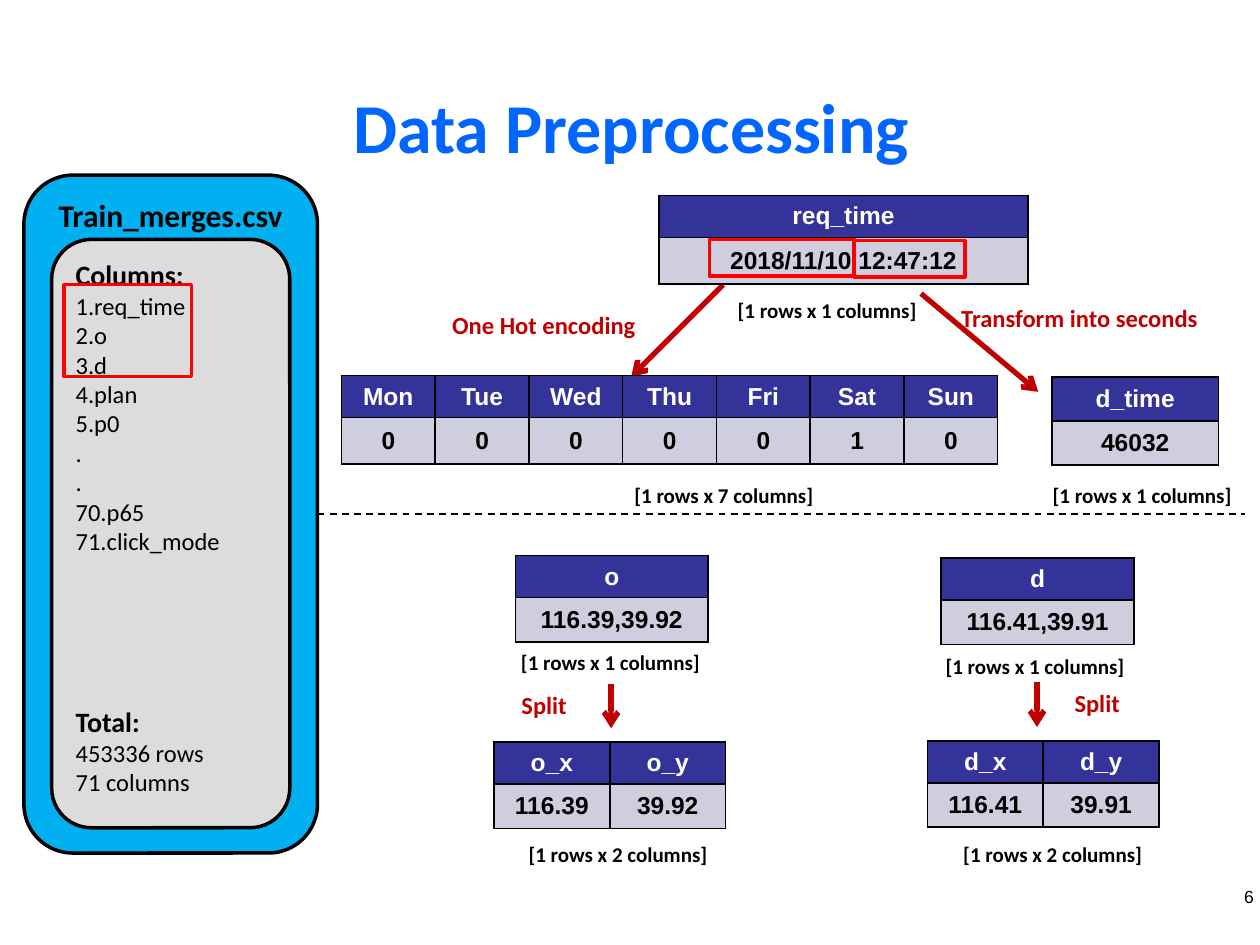
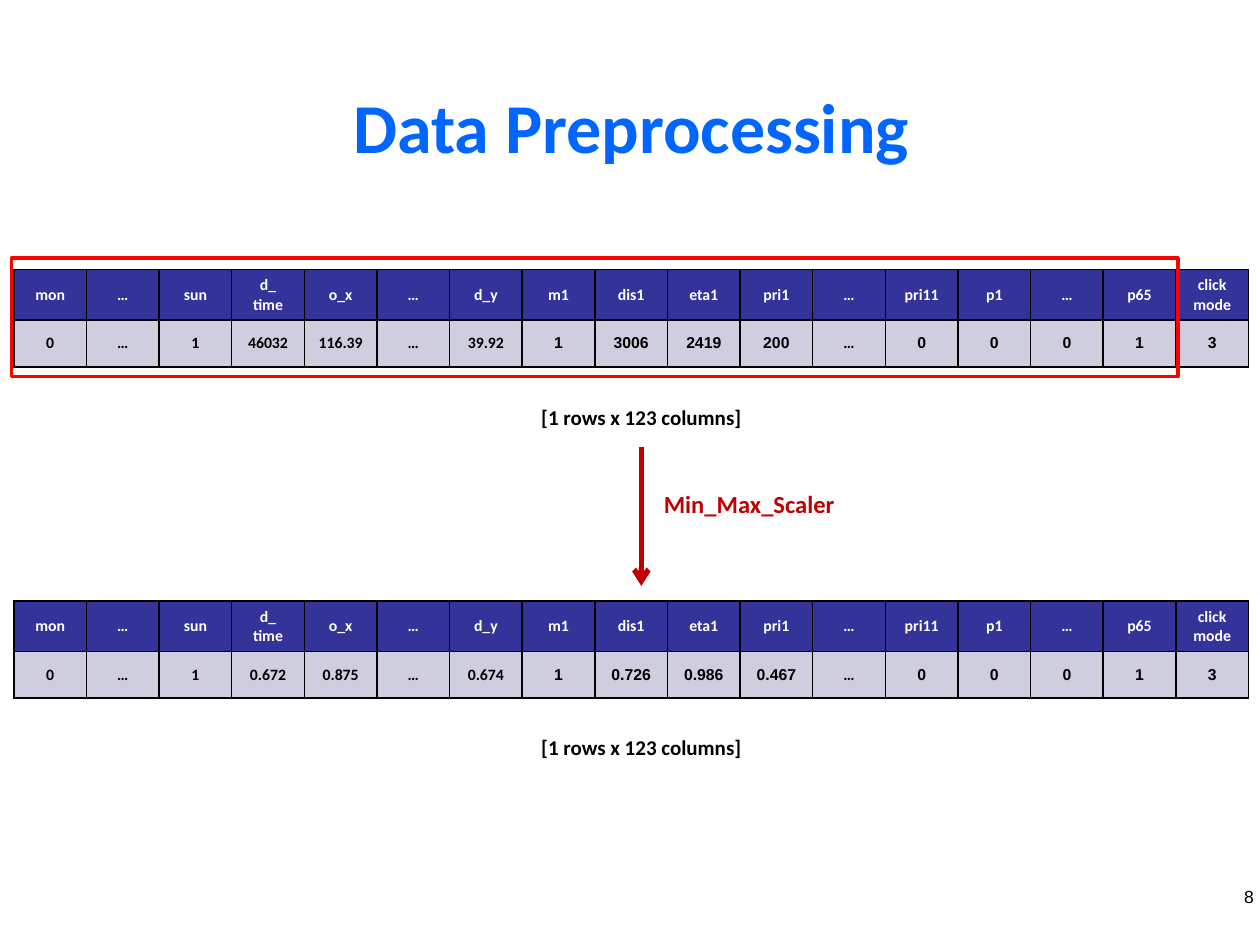
"""Build two data preprocessing slides: splitting the raw columns, then scaling them."""
from lxml.etree import SubElement
from pptx import Presentation
from pptx.dml.color import RGBColor
from pptx.enum.dml import MSO_LINE
from pptx.enum.shapes import MSO_CONNECTOR, MSO_SHAPE
from pptx.enum.text import MSO_ANCHOR as ANCHOR, PP_ALIGN as ALIGN
from pptx.oxml.ns import qn
from pptx.util import Inches, Pt

COLORS = {"title": "0066FF", "ink": "000000", "white": "FFFFFF", "header": "333399",
          "value": "CECEDE", "file": "00B0F0", "columns": "DCDCDC",
          "highlight": "FF0000", "action": "C00000"}

FORMATS = {
    "title": ({"name": "Calibri", "size": Pt(40), "bold": True}, "title"),
    "page": ({"name": "Arial", "size": Pt(10), "bold": False}, "ink"),
    "file": ({"name": "Calibri", "size": Pt(18), "bold": True}, "ink"),
    "heading": ({"name": "Calibri", "size": Pt(16), "bold": True}, "ink"),
    "item": ({"name": "Calibri", "size": Pt(14), "bold": False}, "ink"),
    "action": ({"name": "Calibri", "size": Pt(14), "bold": True}, "action"),
    "caption": ({"name": "Calibri", "size": Pt(12), "bold": True}, "ink"),
}

TITLE = "Data Preprocessing"
FILE_NAME = "Train_merges.csv"
COLUMN_LIST = ["1.req_time", "2.o", "3.d", "4.plan", "5.p0", ".", ".", "70.p65", "71.click_mode"]
TOTALS = ["453336 rows", "71 columns"]
FILE_BOX = (0.19, 1.39, 2.33, 5.38)
COLUMNS_BOX = (0.41, 1.9, 1.89, 4.67)
DIVIDER = (2.52, 4.08, 9.88, 4.08)
TOTAL_GAP = Pt(85)

FEATURES = ["mon", "…", "sun", "d_\ntime", "o_x", "…", "d_y", "m1", "dis1", "eta1",
            "pri1", "…", "pri11", "p1", "…", "p65", "click\nmode"]
RAW = ["0", "…", "1", "46032", "116.39", "…", "39.92", "1", "3006", "2419",
       "200", "…", "0", "0", "0", "1", "3"]
SCALED = ["0", "…", "1", "0.672", "0.875", "…", "0.674", "1", "0.726", "0.986",
          "0.467", "…", "0", "0", "0", "1", "3"]
FIRST_ARIAL_FEATURE = 7

ENCODING = {
    "page": "6",
    "arrows": [(5.74, 2.26, 5.01, 2.99), (7.31, 2.33, 8.24, 3.11),
               (4.85, 5.43, 4.85, 5.78), (8.23, 5.41, 8.23, 5.77)],
    "text_size": 14,
    "tables": [
        (5.23, 1.55, 2.93, (0.32, 0.37), ["req_time"], ["2018/11/10 12:47:12"]),
        (2.71, 2.98, 5.21, (0.32, 0.37), "Mon Tue Wed Thu Fri Sat Sun".split(), list("0000010")),
        (8.35, 2.99, 1.32, (0.35, 0.35), ["d_time"], ["46032"]),
        (4.09, 4.41, 1.53, (0.33, 0.35), ["o"], ["116.39,39.92"]),
        (7.47, 4.43, 1.53, (0.33, 0.35), ["d"], ["116.41,39.91"]),
        (3.92, 5.89, 1.84, (0.33, 0.35), ["o_x", "o_y"], ["116.39", "39.92"]),
        (7.36, 5.88, 1.84, (0.33, 0.35), ["d_x", "d_y"], ["116.41", "39.91"]),
    ],
    "highlights": [(0.51, 2.26, 1.01, 0.73), (5.63, 1.9, 1.15, 0.29), (6.78, 1.91, 0.88, 0.29)],
    "actions": [("Transform into seconds", 7.53, 2.36, 2.11), ("One Hot encoding", 3.49, 2.41, 1.67),
                ("Split", 4.04, 5.43, 0.57), ("Split", 8.43, 5.41, 0.57)],
    "captions": [(7, 4.92, 3.78, 1.65), (1, 8.24, 3.78, 1.65), (1, 5.74, 2.31, 1.65),
                 (1, 4.02, 5.11, 1.65), (1, 7.39, 5.14, 1.65),
                 (2, 4.08, 6.63, 1.65), (2, 7.53, 6.63, 1.65)],
}
SCALING = {
    "page": "8",
    "arrows": [(5.09, 3.55, 5.09, 4.65)],
    "text_size": 9,
    "tables": [(0.11, top, 9.8, (0.4, 0.37), FEATURES, values)
               for top, values in ((2.14, RAW), (4.77, SCALED))],
    "highlights": [(0.09, 2.05, 9.26, 0.94)],
    "actions": [("Min_Max_Scaler", 5.17, 3.83, 1.57)],
    "captions": [(123, 4.18, top, 1.82) for top in (3.16, 5.78)],
}


def rgb(color):
    return RGBColor.from_string(COLORS[color])


def inches(values):
    return [Inches(value) for value in values]


def write(paragraph, text, style, align=ALIGN.LEFT):
    values, color = style
    paragraph.alignment = align
    run = paragraph.add_run()
    run.text = text
    for key, value in values.items():
        setattr(run.font, key, value)
    run.font.color.rgb = rgb(color)


def add_text(slide, box, text, style, align=ALIGN.LEFT, wrap=False, inset=None, anchor=ANCHOR.TOP):
    frame = slide.shapes.add_textbox(*inches(box)).text_frame
    frame.word_wrap = wrap
    frame.vertical_anchor = anchor
    if inset is not None:
        for side in ("left", "top", "right", "bottom"):
            setattr(frame, f"margin_{side}", Inches(inset))
    write(frame.paragraphs[0], text, FORMATS[style], align)


def add_box(slide, kind, box, line, fill=None):
    shape = slide.shapes.add_shape(kind, *inches(box))
    shape.shadow.inherit = False
    shape.line.color.rgb = rgb(line)
    shape.line.width = Pt(2)
    if fill:
        shape.fill.solid()
        shape.fill.fore_color.rgb = rgb(fill)
    else:
        shape.fill.background()
    shape.text_frame.vertical_anchor = ANCHOR.TOP
    shape.text_frame.word_wrap = True
    return shape


def add_line(slide, ends, color, width):
    line = slide.shapes.add_connector(MSO_CONNECTOR.STRAIGHT, *inches(ends))
    line.line.color.rgb = rgb(color)
    line.line.width = Pt(width)
    SubElement(line.element.spPr, qn("a:effectLst"))
    return line


def add_arrow(slide, ends):
    arrow = add_line(slide, ends, "action", 3)
    SubElement(arrow.line._get_or_add_ln(), qn("a:tailEnd"), type="arrow")


def add_border(cell):
    properties = cell._tc.get_or_add_tcPr()
    for side in ("lnL", "lnR", "lnT", "lnB"):
        edge = SubElement(properties, qn(f"a:{side}"), w=str(Pt(1)))
        SubElement(SubElement(edge, qn("a:solidFill")), qn("a:srgbClr"), val=COLORS["ink"])


def cell_font(size, row, column, text):
    if size == ENCODING["text_size"]:
        return "Arial"
    return "Arial" if row and column >= FIRST_ARIAL_FEATURE and text != "…" else "Calibri"


def add_data(slide, size, left, top, width, heights, names, values):
    box = inches((left, top, width, sum(heights)))
    table = slide.shapes.add_table(2, len(names), *box).table
    for column in table.columns:
        column.width = Inches(width / len(names))
    for row, (height, texts) in enumerate(zip(heights, (names, values))):
        table.rows[row].height = Inches(height)
        fill, ink = (("header", "white"), ("value", "ink"))[row]
        for column, text in enumerate(texts):
            cell = table.cell(row, column)
            add_border(cell)
            cell.fill.solid()
            cell.fill.fore_color.rgb = rgb(fill)
            cell.vertical_anchor = ANCHOR.MIDDLE
            font = {"name": cell_font(size, row, column, text), "size": Pt(size), "bold": True}
            for number, part in enumerate(text.split("\n")):
                frame = cell.text_frame
                paragraph = frame.add_paragraph() if number else frame.paragraphs[0]
                write(paragraph, part, (font, ink), ALIGN.CENTER)


def add_file_panel(slide):
    file_panel = add_box(slide, MSO_SHAPE.ROUNDED_RECTANGLE, FILE_BOX, "ink", "file")
    write(file_panel.text_frame.paragraphs[0], FILE_NAME, FORMATS["file"], ALIGN.CENTER)
    frame = add_box(slide, MSO_SHAPE.ROUNDED_RECTANGLE, COLUMNS_BOX, "ink", "columns").text_frame
    write(frame.paragraphs[0], "Columns:", FORMATS["heading"])
    for item in COLUMN_LIST:
        write(frame.add_paragraph(), item, FORMATS["item"])
    total = frame.add_paragraph()
    total.space_before = TOTAL_GAP
    write(total, "Total:", FORMATS["heading"])
    for item in TOTALS:
        write(frame.add_paragraph(), item, FORMATS["item"])
    divider = add_line(slide, DIVIDER, "ink", 1)
    divider.line.dash_style = MSO_LINE.DASH
    divider.begin_connect(file_panel, 3)


def add_step(deck, step):
    slide = deck.slides.add_slide(deck.slide_layouts[6])
    add_text(slide, (0.51, 0.6, 9, 0.79), TITLE, "title", ALIGN.CENTER, True, 0, ANCHOR.MIDDLE)
    add_text(slide, (7.67, 6.98, 2.33, 0.25), step["page"], "page", ALIGN.RIGHT, True, 0.05)
    if step is ENCODING:
        add_file_panel(slide)
    for ends in step["arrows"]:
        add_arrow(slide, ends)
    for data in step["tables"]:
        add_data(slide, step["text_size"], *data)
    for box in step["highlights"]:
        add_box(slide, MSO_SHAPE.RECTANGLE, box, "highlight")
    for text, left, top, width in step["actions"]:
        add_text(slide, (left, top, width, 0.34), text, "action")
    for count, left, top, width in step["captions"]:
        add_text(slide, (left, top, width, 0.3), f"[1 rows x {count} columns]", "caption", ALIGN.CENTER)


def main():
    deck = Presentation()
    deck.slide_width, deck.slide_height = inches((10, 7.5))
    for step in (ENCODING, SCALING):
        add_step(deck, step)
    deck.save("out.pptx")


if __name__ == "__main__":
    main()
